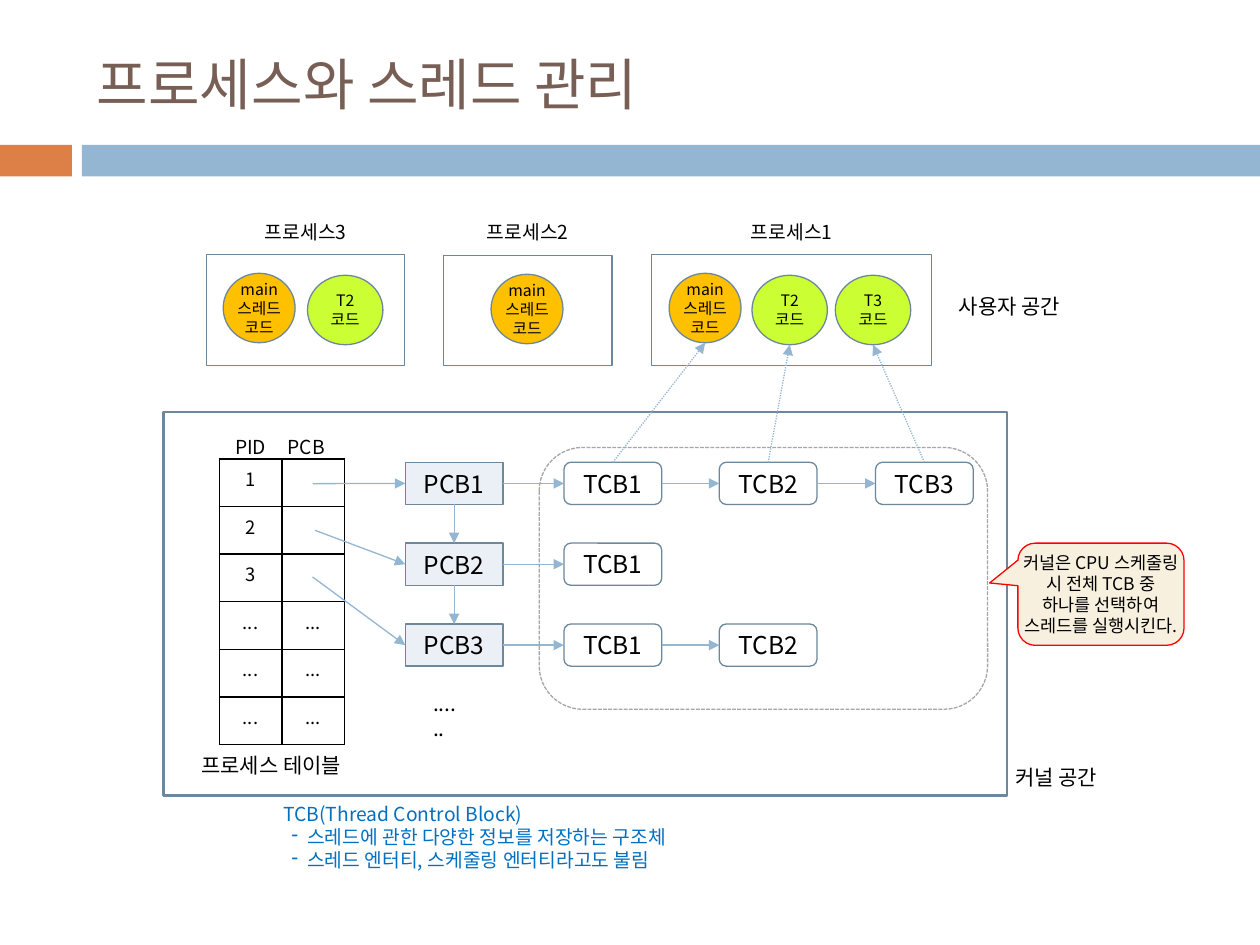
from dataclasses import dataclass

from lxml.etree import SubElement
from pptx import Presentation
from pptx.dml.color import RGBColor
from pptx.enum.dml import MSO_LINE
from pptx.enum.shapes import MSO_CONNECTOR, MSO_SHAPE
from pptx.enum.text import MSO_ANCHOR, MSO_AUTO_SIZE, PP_ALIGN
from pptx.oxml import parse_xml
from pptx.oxml.ns import nsdecls, qn
from pptx.util import Cm, Pt


@dataclass(frozen=True)
class Theme:
    """Colours, type sizes and font of the slide."""
    font: str = "Noto Sans CJK KR"
    ink: str = "000000"
    title: str = "775F55"
    note: str = "0070C0"
    outline: str = "6D879B"
    blue: str = "94B6D2"
    orange: str = "DD8047"
    main_thread: str = "FFC000"
    other_thread: str = "CCFF33"
    pcb: str = "EAF0F6"
    white: str = "FFFFFF"
    dashed: str = "A6A6A6"
    callout: str = "F7F0DE"
    alert: str = "FF0000"
    title_size: float = 32
    block_size: float = 14
    place_size: float = 12
    label_size: float = 11
    cell_size: float = 10.5
    callout_size: float = 10
    thread_size: float = 9


THEME = Theme()
TOP, LEFT, BOTTOM, RIGHT = range(4)


def write(frame, lines, size, color=THEME.ink, align=PP_ALIGN.CENTER):
    """Write one paragraph per line into a text frame."""
    for index, line in enumerate(lines):
        para = frame.paragraphs[0] if index == 0 else frame.add_paragraph()
        para.alignment = align
        span = para.add_run()
        span.text = line
        span.font.size = Pt(size)
        span.font.name = THEME.font
        span.font.color.rgb = RGBColor.from_string(color)
        SubElement(span.font._element, qn("a:ea"), typeface=THEME.font)


def add_box(page, kind, place, fill=None, line=None, width=0.75, lines=(),
            size=THEME.block_size, inset=None):
    """Add a preset shape at (left, top, width, height) in centimetres."""
    box = page.shapes.add_shape(kind, *map(Cm, place))
    box.shadow.inherit = False
    if fill:
        box.fill.solid()
        box.fill.fore_color.rgb = RGBColor.from_string(fill)
    else:
        box.fill.background()
    if line:
        box.line.color.rgb = RGBColor.from_string(line)
        box.line.width = Pt(width)
    else:
        box.line.fill.background()
    frame = box.text_frame
    frame.word_wrap = True
    frame.vertical_anchor = MSO_ANCHOR.MIDDLE
    if inset is not None:
        frame.margin_left = frame.margin_right = Cm(inset)
        frame.margin_top = frame.margin_bottom = Cm(inset)
    write(frame, lines, size)
    return box


def add_label(page, place, lines, size=THEME.place_size, color=THEME.ink,
              align=PP_ALIGN.LEFT, wrap=False):
    """Add a text box that fits its text."""
    box = page.shapes.add_textbox(*map(Cm, place))
    frame = box.text_frame
    frame.word_wrap = wrap
    frame.auto_size = MSO_AUTO_SIZE.SHAPE_TO_FIT_TEXT
    write(frame, lines, size, color, align)
    return frame


def side(box, site):
    """Return the middle point of one side of a box."""
    across = {LEFT: 0, RIGHT: box.width}.get(site, box.width // 2)
    down = {TOP: 0, BOTTOM: box.height}.get(site, box.height // 2)
    return box.left + across, box.top + down


def add_arrow(page, start, finish, dash=None):
    """Draw an arrow between two points."""
    arrow = page.shapes.add_connector(MSO_CONNECTOR.STRAIGHT, *start, *finish)
    arrow.line.color.rgb = RGBColor.from_string(THEME.blue)
    arrow.line.width = Pt(0.75)
    if dash:
        arrow.line.dash_style = dash
    SubElement(arrow.line._get_or_add_ln(), qn("a:tailEnd"), type="triangle")
    SubElement(arrow._element.spPr, qn("a:effectLst"))
    return arrow


def link(page, first, first_site, second, second_site):
    """Join two boxes with an arrow that stays attached to both."""
    arrow = add_arrow(page, side(first, first_site), side(second, second_site))
    arrow.begin_connect(first, first_site)
    arrow.end_connect(second, second_site)


def add_process(page, name, frame_place, threads):
    """Draw a process with its threads and return the thread circles."""
    left, top, width, _ = frame_place
    add_box(page, MSO_SHAPE.RECTANGLE, frame_place, line=THEME.outline)
    add_label(page, (left + width / 2 - 1.14, 4.32, 2.28, 0.74), [name],
              THEME.label_size, align=PP_ALIGN.CENTER)
    circles = []
    for thread, thread_left in threads:
        is_main = thread.startswith("main")
        place = (thread_left, top + (0.38 if is_main else 0.42), 1.45 if is_main else 1.52, 1.4)
        circles.append(add_box(
            page, MSO_SHAPE.OVAL, place, THEME.main_thread if is_main else THEME.other_thread,
            THEME.outline, lines=[thread, "코드"], size=THEME.thread_size, inset=0))
    return circles


def add_process_table(page, rows):
    """Add the process table with thin black borders."""
    graphic = page.shapes.add_table(len(rows), 2, Cm(4.42), Cm(9.25), Cm(2.52), Cm(5.76))
    table = graphic.table
    table.first_row = table.horz_banding = False
    for row, texts in zip(table.rows, rows):
        row.height = Cm(0.96)
        for cell, text in zip(row.cells, texts):
            cell.fill.background()
            if text:
                write(cell.text_frame, [text], THEME.cell_size)
            else:
                SubElement(cell.text_frame.paragraphs[0]._p, qn("a:endParaRPr"),
                           sz=str(int(THEME.cell_size * 100)))
            for index, edge in enumerate(("lnL", "lnR", "lnT", "lnB")):
                border = parse_xml(
                    f'<a:{edge} {nsdecls("a")} w="12700"><a:solidFill>'
                    f'<a:srgbClr val="{THEME.ink}"/></a:solidFill></a:{edge}>')
                cell._tc.get_or_add_tcPr().insert(index, border)


def add_control_blocks(page):
    """Draw the PCB chain with its TCB lists; return the rows of blocks."""
    lefts, rows = (8.17, 11.37, 14.5, 17.65), []
    for index, count in enumerate((3, 1, 2)):
        row = []
        for column in range(count + 1):
            name = f"TCB{column}" if column else f"PCB{index + 1}"
            kind = MSO_SHAPE.ROUNDED_RECTANGLE if column else MSO_SHAPE.RECTANGLE
            row.append(add_box(page, kind, (lefts[column], 9.32 + 1.63 * index, 1.97, 0.85),
                               THEME.white if column else THEME.pcb, THEME.outline, lines=[name]))
        for first, second in zip(row, row[1:]):
            link(page, first, RIGHT, second, LEFT)
        rows.append(row)
    for upper, lower in zip(rows, rows[1:]):
        link(page, upper[0], BOTTOM, lower[0], TOP)
    return rows


def add_note(page):
    """Add the definition of a TCB with dashes as bullets."""
    frame = add_label(page, (5.46, 16.05, 9.22, 1.68), [
        "TCB(Thread Control Block)",
        "스레드에 관한 다양한 정보를 저장하는 구조체",
        "스레드 엔터티, 스케줄링 엔터티라고도 불림"], THEME.label_size, THEME.note)
    for para in frame.paragraphs[1:]:
        properties = para._p.get_or_add_pPr()
        properties.set("marL", str(Cm(0.48)))
        properties.set("indent", str(-Cm(0.31)))
        SubElement(properties, qn("a:buChar"), char="-")


def add_title(page, text):
    """Place the title and the two bars under it."""
    title = page.shapes.title
    title.left, title.top, title.width, title.height = map(Cm, (1.7, 0.64, 22.66, 2.08))
    title.text_frame.vertical_anchor = MSO_ANCHOR.MIDDLE
    write(title.text_frame, [text], THEME.title_size, THEME.title, PP_ALIGN.LEFT)
    for left, width, color in ((0, 1.45, THEME.orange), (1.65, 23.75, THEME.blue)):
        add_box(page, MSO_SHAPE.RECTANGLE, (left, 2.92, width, 0.64), color)


def main():
    """Build the slide."""
    deck = Presentation()
    deck.slide_width, deck.slide_height = Cm(25.4), Cm(19.05)
    page = deck.slides.add_slide(deck.slide_layouts[5])
    add_title(page, "프로세스와 스레드 관리")

    add_process(page, "프로세스3", (4.17, 5.13, 3.99, 2.24), [("main 스레드", 4.5), ("T2", 6.2)])
    add_process(page, "프로세스2", (8.94, 5.15, 3.4, 2.22), [("main 스레드", 9.9)])
    circles = add_process(page, "프로세스1", (13.14, 5.13, 5.64, 2.24),
                          [("main 스레드", 13.49), ("T2", 15.16), ("T3", 16.84)])
    add_label(page, (19.08, 5.79, 2.79, 0.76), ["사용자 공간"])

    add_box(page, MSO_SHAPE.RECTANGLE, (3.3, 8.31, 17, 7.73), line=THEME.outline, width=1.5)
    add_label(page, (20.22, 15.29, 2.36, 0.76), ["커널 공간"])
    add_process_table(page, [(str(pid), "") for pid in (1, 2, 3)] + [("...", "...")] * 3)
    for left, heading in ((4.19, "PID"), (5.31, "PCB")):
        add_box(page, MSO_SHAPE.FLOWCHART_PROCESS, (left, 8.48, 1.73, 1.07),
                lines=[heading], size=THEME.label_size)
    add_label(page, (3.81, 15.04, 3.66, 0.76), ["프로세스 테이블"])

    rows = add_control_blocks(page)
    for row, (left, top) in zip(rows, ((6.3, 9.75), (6.35, 10.69), (6.3, 11.63))):
        arrow = add_arrow(page, (Cm(left), Cm(top)), side(row[0], LEFT))
        arrow.end_connect(row[0], LEFT)
    for block, circle in zip(rows[0][1:], circles):
        arrow = add_arrow(page, side(block, TOP), side(circle, BOTTOM), MSO_LINE.ROUND_DOT)
        arrow.begin_connect(block, TOP)
    add_label(page, (8.48, 13.79, 1.07, 0.76), ["......"], wrap=True)

    group = add_box(page, MSO_SHAPE.ROUNDED_RECTANGLE, (10.87, 9.02, 9.04, 5.28),
                    line=THEME.dashed)
    group.line.dash_style = MSO_LINE.SQUARE_DOT
    group.line._get_or_add_ln().find(qn("a:prstDash")).set("val", "sysDash")
    callout = add_box(page, MSO_SHAPE.ROUNDED_RECTANGULAR_CALLOUT, (20.52, 10.95, 3.35, 2.06),
                      THEME.callout, THEME.alert, size=THEME.callout_size, inset=0, lines=[
                          "커널은 CPU 스케줄링 시 전체 TCB 중 하나를 선택하여 스레드를 실행시킨다."])
    for index, value in enumerate((-0.67, -0.11, 0.17)):
        callout.adjustments[index] = value
    add_note(page)
    deck.save("out.pptx")


if __name__ == "__main__":
    main()
